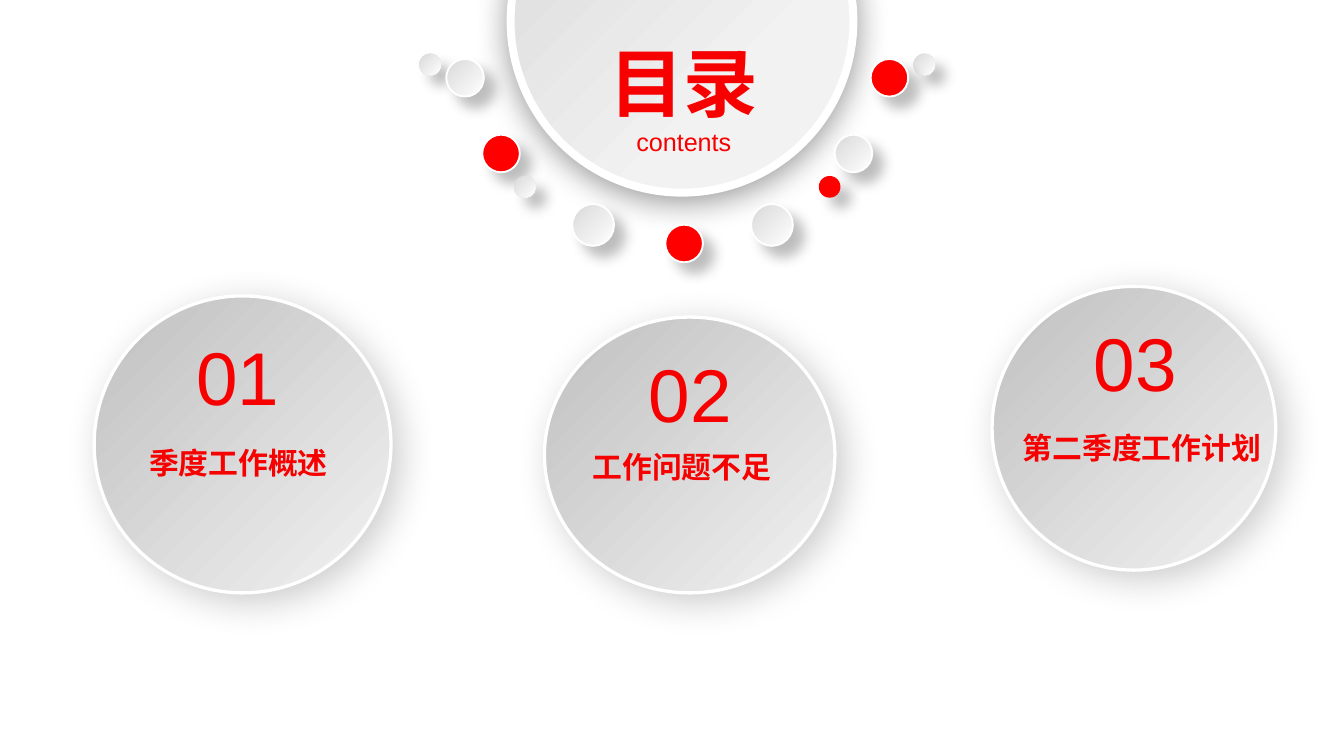
from typing import NamedTuple

from lxml import etree
from pptx import Presentation
from pptx.dml.color import RGBColor
from pptx.enum.shapes import MSO_SHAPE
from pptx.enum.text import PP_ALIGN
from pptx.oxml.ns import qn
from pptx.util import Cm, Pt

OVAL = MSO_SHAPE.OVAL
CENTER, LEFT = PP_ALIGN.CENTER, PP_ALIGN.LEFT
FONT = "Arial"
TEXT_RED, DOT_RED, WHITE = "F70000", "FF0000", "FFFFFF"


class Area(NamedTuple):
    """Left, top, width and height in centimetres."""
    left: float
    top: float
    width: float
    height: float


class Gradient(NamedTuple):
    stops: tuple[tuple[int, str], ...]
    radial: bool = False


class Shadow(NamedTuple):
    opacity: int
    blur: float
    distance: float
    angle: int


class Span(NamedTuple):
    text: str
    size: float
    bold: bool = False


class Topic(NamedTuple):
    number: str
    title: str
    disc: Area
    number_area: Area
    title_area: Area


class DotPair(NamedTuple):
    """Two dots at equal distance from a vertical axis."""
    axis: float
    offset: float
    middle: float
    diameter: float
    outline: float
    left_fill: Gradient | str
    right_fill: Gradient | str


DISC_FILL = Gradient(((0, "BFBFBF"), (100, "F2F2F2")))
HEADER_FILL = Gradient(((31, "F2F2F2"), (100, "D9D9D9")), radial=True)
GREY = Gradient(((0, "D9D9D9"), (100, WHITE)))
DISC_SHADOW = Shadow(20, 20, 6, 45)
HEADER_SHADOW = Shadow(40, 17, 3, 90)
DOT_SHADOW = Shadow(25, 7, 8, 45)

TOPICS = (
    Topic("01", "季度工作概述", Area(1.78, 5.59, 5.61, 5.61),
          Area(2.9, 5.99, 3.18, 2.41), Area(2.64, 8.13, 3.78, 0.97)),
    Topic("02", "工作问题不足", Area(10.29, 5.99, 5.49, 5.21),
          Area(11.68, 6.32, 2.74, 2.26), Area(11.02, 8.2, 3.78, 0.97)),
    Topic("03", "第二季度工作计划", Area(18.75, 5.41, 5.36, 5.36),
          Area(20.12, 5.74, 2.67, 2.34), Area(19.15, 7.85, 4.95, 0.97)),
)
DOT_PAIRS = (
    DotPair(12.8, 4.67, 1.22, 0.41, 0, GREY, GREY),
    DotPair(12.8, 4.01, 1.47, 0.71, 1, GREY, DOT_RED),
    DotPair(12.8, 3.33, 2.9, 0.71, 1, DOT_RED, GREY),
    DotPair(12.8, 2.88, 3.53, 0.41, 0, GREY, DOT_RED),
    DotPair(12.9, 1.69, 4.25, 0.79, 1, GREY, GREY),
)


def color(value: str) -> RGBColor:
    return RGBColor.from_string(value)


def add_color(parent, value: str):
    return etree.SubElement(parent, qn("a:srgbClr"), val=value)


def set_gradient(shape, gradient: Gradient) -> None:
    shape.fill.gradient()
    fill = shape._element.spPr.find(qn("a:gradFill"))
    for child in list(fill):
        fill.remove(child)
    stops = etree.SubElement(fill, qn("a:gsLst"))
    for position, value in gradient.stops:
        add_color(etree.SubElement(stops, qn("a:gs"), pos=str(position * 1000)), value)
    if gradient.radial:
        shade = etree.SubElement(fill, qn("a:path"), path="circle")
        etree.SubElement(shade, qn("a:fillToRect"), l="100000", t="100000")
    else:
        etree.SubElement(fill, qn("a:lin"), ang=str(45 * 60000), scaled="0")


def set_shadow(shape, shadow: Shadow) -> None:
    shape.shadow.inherit = False
    effects = shape._element.spPr.find(qn("a:effectLst"))
    outer = etree.SubElement(
        effects, qn("a:outerShdw"), blurRad=str(Pt(shadow.blur)),
        dist=str(Pt(shadow.distance)), dir=str(shadow.angle * 60000),
        algn="ctr", rotWithShape="0")
    tint = add_color(outer, "000000")
    etree.SubElement(tint, qn("a:alpha"), val=str(shadow.opacity * 1000))


def add_circle(page, area: Area, fill: Gradient | str, outline: float,
               shadow: Shadow) -> None:
    circle = page.shapes.add_shape(OVAL, *map(Cm, area))
    if isinstance(fill, Gradient):
        set_gradient(circle, fill)
    else:
        circle.fill.solid()
        circle.fill.fore_color.rgb = color(fill)
    if outline:
        circle.line.color.rgb = color(WHITE)
        circle.line.width = Pt(outline)
    else:
        circle.line.fill.background()
    set_shadow(circle, shadow)


def add_dot(page, center: float, middle: float, diameter: float,
            fill: Gradient | str, outline: float) -> None:
    area = Area(center - diameter / 2, middle - diameter / 2, diameter, diameter)
    add_circle(page, area, fill, outline, DOT_SHADOW)


def add_text(page, area: Area, spans: list[Span], align=CENTER, side: float = 0.25,
             top: float = 0.13, wrap: bool = True, spacing=None) -> None:
    frame = page.shapes.add_textbox(*map(Cm, area)).text_frame
    frame.word_wrap = wrap
    frame.margin_left = frame.margin_right = Cm(side)
    frame.margin_top = Cm(top)
    for index, span in enumerate(spans):
        para = frame.add_paragraph() if index else frame.paragraphs[0]
        para.alignment = align
        if spacing:
            para.line_spacing = spacing
        run = para.add_run()
        run.text = span.text
        run.font.name = FONT
        run.font.size = Pt(span.size)
        run.font.bold = span.bold
        run.font.color.rgb = color(TEXT_RED)


def main() -> None:
    deck = Presentation()
    deck.slide_width, deck.slide_height = Cm(25.4), Cm(14.28)
    page = deck.slides.add_slide(deck.slide_layouts[6])

    # Header disc, cut by the top edge
    add_circle(page, Area(9.65, -2.84, 6.48, 6.48), HEADER_FILL, 4.25, HEADER_SHADOW)
    add_text(page, Area(11.25, 0.56, 3.35, 2.54),
             [Span("目录", 40, True), Span("contents", 13.5)], wrap=False)

    # Arc of dots below the header
    for pair in DOT_PAIRS:
        for side, fill in ((-1, pair.left_fill), (1, pair.right_fill)):
            add_dot(page, pair.axis + side * pair.offset, pair.middle,
                    pair.diameter, fill, pair.outline)
    add_dot(page, 12.93, 4.6, 0.71, DOT_RED, 1)

    # Numbered topics
    for topic in TOPICS:
        add_circle(page, topic.disc, DISC_FILL, 1.75, DISC_SHADOW)
        add_text(page, topic.number_area, [Span(topic.number, 40)], top=0.25)
        add_text(page, topic.title_area, [Span(topic.title, 16, True)], align=LEFT,
                 side=0.18, top=0.1, spacing=Pt(24))

    deck.save("out.pptx")


if __name__ == "__main__":
    main()
